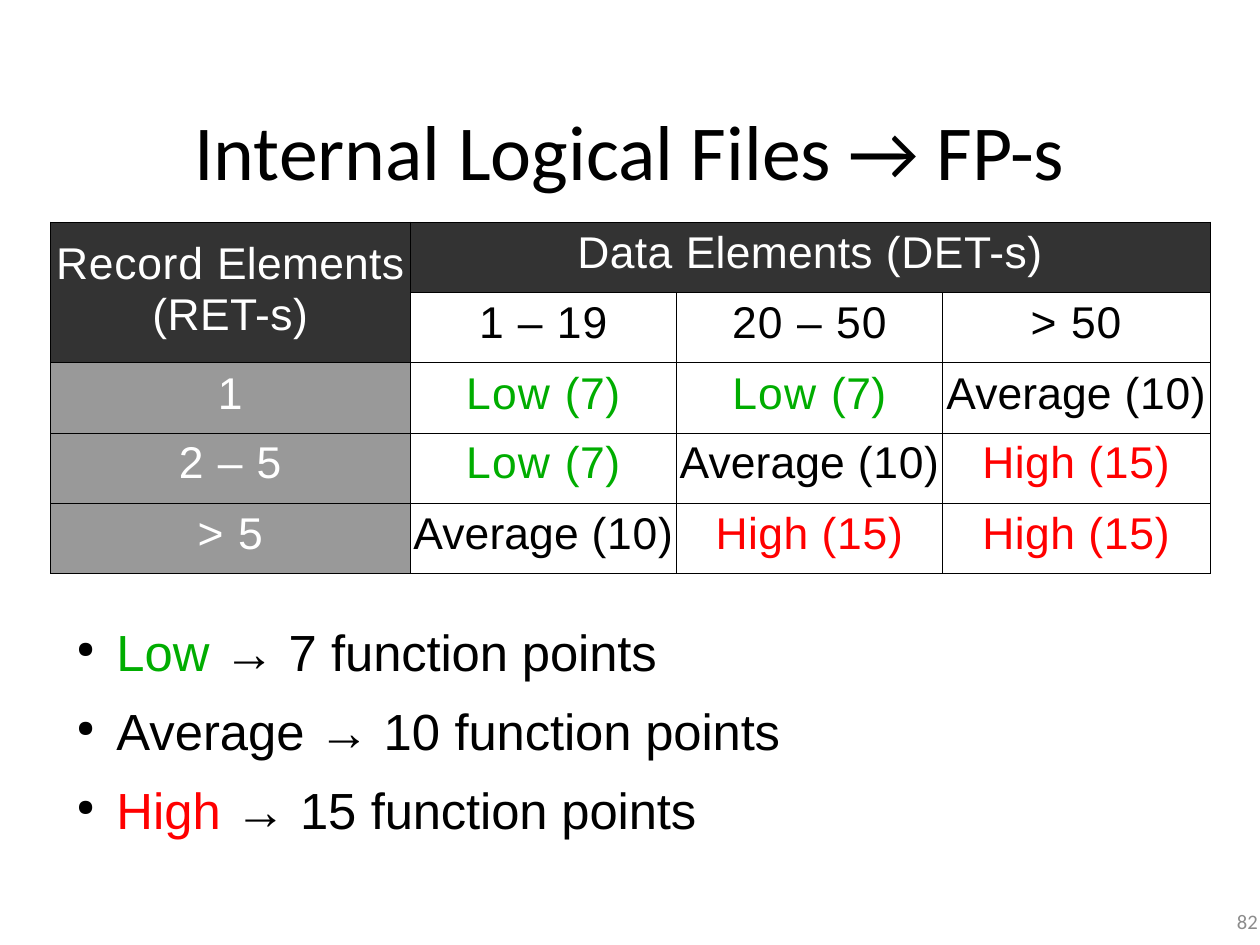
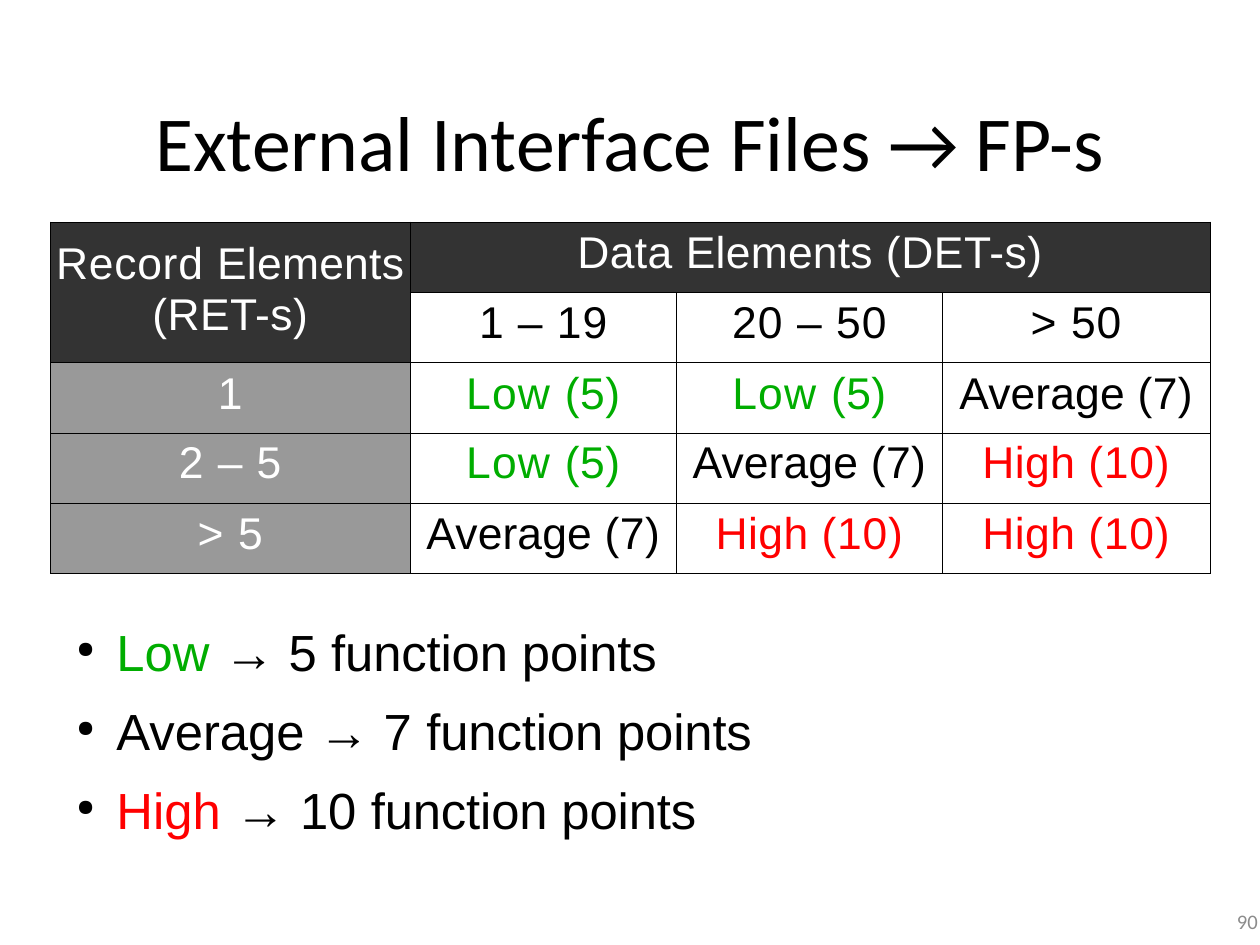
from dataclasses import dataclass
from typing import NamedTuple

from lxml import etree
from pptx import Presentation
from pptx.dml.color import RGBColor
from pptx.enum.text import MSO_ANCHOR, MSO_AUTO_SIZE, PP_ALIGN
from pptx.oxml.ns import qn
from pptx.util import Inches, Pt

BLACK = RGBColor(0x00, 0x00, 0x00)
WHITE = RGBColor(0xFF, 0xFF, 0xFF)
DARK = RGBColor(0x33, 0x33, 0x33)
GRAY = RGBColor(0x99, 0x99, 0x99)
PALE = RGBColor(0x8C, 0x8C, 0x8C)
GREEN = RGBColor(0x00, 0xAD, 0x00)
RED = RGBColor(0xFF, 0x00, 0x00)

LEFT, CENTER, RIGHT = PP_ALIGN.LEFT, PP_ALIGN.CENTER, PP_ALIGN.RIGHT
TOP, MIDDLE = MSO_ANCHOR.TOP, MSO_ANCHOR.MIDDLE
GROW = MSO_AUTO_SIZE.SHAPE_TO_FIT_TEXT

WIDTH, HEIGHT = 11.03, 8.27
COLS = (3.15, 2.33, 2.33, 2.34)
ROWS = (0.62, 0.61, 0.62, 0.61, 0.62)
PADS = (0.06, 0.05, 0.06, 0.05, 0.06)
SIDES = "LRTB"


class Bit(NamedTuple):
    text: str
    color: RGBColor
    space: float = 0


class Style(NamedTuple):
    font: str
    size: float


class Box(NamedTuple):
    left: float
    top: float
    width: float
    height: float


class Level(NamedTuple):
    name: str
    color: RGBColor
    space: float


@dataclass
class Page:
    title: str
    top: float
    width: float
    number: str
    points: tuple[int, int, int]


HEAD = Style("Calibri", 49)
FOOT = Style("Calibri", 13)
GRID = Style("Arial", 28)
BODY = Style("Arial", 32)

LEVELS = (
    Level("Low", GREEN, 0.8),
    Level("Average", BLACK, 0.1),
    Level("High", RED, 0.3),
)
RANGES = (
    [Bit("1 – ", BLACK, 0.6), Bit("19", BLACK, 0.7)],
    [Bit("20 ", BLACK, 0.7), Bit("– ", BLACK, 0.6), Bit("50", BLACK, 0.7)],
    [Bit("> 50", BLACK, 0.7)],
)
RECORDS = (
    [Bit("1", WHITE)],
    [Bit("2 – 5", WHITE, 0.6)],
    [Bit("> ", WHITE, 0.7), Bit("5", WHITE, 0.6)],
)
PAGES = (
    Page("Internal Logical Files → FP-s", 0.92, 7.88, "82", (7, 10, 15)),
    Page("External Interface Files → FP-s", 0.84, 8.52, "90", (5, 7, 10)),
)


def write(para, bits: list[Bit], style: Style) -> None:
    for bit in bits:
        run = para.add_run()
        run.text = bit.text
        run.font.name = style.font
        run.font.size = Pt(style.size)
        run.font.color.rgb = bit.color
        if bit.space:
            run._r.get_or_add_rPr().set("spc", str(round(bit.space * 100)))


def add_text(slide, box: Box, pad: float, anchor, align, style: Style,
             lines: list[list[Bit]]) -> list:
    frame = slide.shapes.add_textbox(*map(Inches, box)).text_frame
    frame.word_wrap = True
    frame.auto_size = GROW
    frame.vertical_anchor = anchor
    frame.margin_left = frame.margin_right = frame.margin_bottom = 0
    frame.margin_top = Inches(pad)
    for i, bits in enumerate(lines):
        para = frame.add_paragraph() if i else frame.paragraphs[0]
        para.alignment = align
        write(para, bits, style)
    return list(frame.paragraphs)


def bullet(para) -> None:
    props = para._p.get_or_add_pPr()
    props.set("marL", str(Inches(0.37)))
    props.set("indent", str(Inches(-0.35)))
    tint = etree.SubElement(props, qn("a:buClr"))
    etree.SubElement(tint, qn("a:srgbClr"), val=str(BLACK))
    etree.SubElement(props, qn("a:buSzPct"), val="45000")
    etree.SubElement(props, qn("a:buChar"), char="●")


def border(cell, skip: str) -> None:
    props = cell._tc.get_or_add_tcPr()
    for side in SIDES:
        line = etree.SubElement(props, qn(f"a:ln{side}"), w=str(Pt(0.25)))
        if side == skip:
            etree.SubElement(line, qn("a:noFill"))
        else:
            fill = etree.SubElement(line, qn("a:solidFill"))
            etree.SubElement(fill, qn("a:srgbClr"), val=str(BLACK))


def put(cell, bits: list[Bit], pad: float, fill: RGBColor | None = None,
        skip: str = "") -> None:
    cell.margin_left = cell.margin_right = cell.margin_bottom = 0
    cell.margin_top = Inches(pad)
    border(cell, skip)
    if fill is None:
        cell.fill.background()
    else:
        cell.fill.solid()
        cell.fill.fore_color.rgb = fill
    para = cell.text_frame.paragraphs[0]
    para.alignment = CENTER
    para.space_before = Pt(round(pad * 72, 1))
    write(para, bits, GRID)


def add_grid(slide, points: tuple[int, int, int]) -> None:
    box = Box(0.44, 1.94, sum(COLS), sum(ROWS))
    table = slide.shapes.add_table(
        len(ROWS), len(COLS), *map(Inches, box)).table
    table.first_row = table.horz_banding = False
    for col, width in zip(table.columns, COLS):
        col.width = Inches(width)
    for row, height in zip(table.rows, ROWS):
        row.height = Inches(height)

    put(table.cell(0, 0),
        [Bit("Record ", WHITE, 0.5), Bit("Elements", WHITE, 0.2)],
        0.15, DARK, "B")
    put(table.cell(1, 0), [Bit("(RET-s)", WHITE, 0.3)], 0, DARK, "T")
    table.cell(1, 0).text_frame.paragraphs[0].line_spacing = Pt(29.9)
    table.cell(0, 1).merge(table.cell(0, 3))
    data = [Bit("Data ", WHITE, 0.3), Bit("Elements ", WHITE, 0.2),
            Bit("(DET-s)", WHITE, 0.4)]
    for c in range(1, 4):
        put(table.cell(0, c), data if c == 1 else [], PADS[0], DARK)
    for c, bits in enumerate(RANGES, 1):
        put(table.cell(1, c), bits, PADS[1])

    for r, bits in enumerate(RECORDS):
        pad = PADS[r + 2]
        put(table.cell(r + 2, 0), bits, pad, GRAY)
        for c in range(3):
            rank = min(max(r + c - 1, 0), 2)
            level, score = LEVELS[rank], points[rank]
            space = 0.5 if score > 9 else 0.3
            put(table.cell(r + 2, c + 1),
                [Bit(f"{level.name} ", level.color, level.space),
                 Bit(f"({score})", level.color, space)], pad)


def add_list(slide, points: tuple[int, int, int]) -> None:
    lines = [
        [Bit(f"{level.name} ", level.color), Bit(f"→ {score} ", BLACK),
         Bit("function points", BLACK, -0.1)]
        for level, score in zip(LEVELS, points)
    ]
    paras = add_text(slide, Box(0.65, 5.26, 6.2, 2.1), 0.17, TOP, LEFT,
                     BODY, lines)
    for i, para in enumerate(paras):
        para.space_before = Pt(11.3 if i else 12.2)
        bullet(para)


def add_page(deck, page: Page) -> None:
    slide = deck.slides.add_slide(deck.slide_layouts[6])
    left = round((WIDTH - page.width) / 2, 2)
    head = add_text(slide, Box(left, page.top, page.width, 0.76), 0.01,
                    MIDDLE, CENTER, HEAD, [[Bit(page.title, BLACK)]])
    head[0].space_before = Pt(1)
    foot = add_text(slide, Box(10.65, 7.85, 0.36, 0.32), 0, MIDDLE, RIGHT,
                    FOOT, [[Bit(page.number, PALE)]])
    foot[0].line_spacing = Pt(22.9)
    add_grid(slide, page.points)
    add_list(slide, page.points)


def main() -> None:
    deck = Presentation()
    deck.slide_width, deck.slide_height = Inches(WIDTH), Inches(HEIGHT)
    for page in PAGES:
        add_page(deck, page)
    deck.save("out.pptx")


main()
